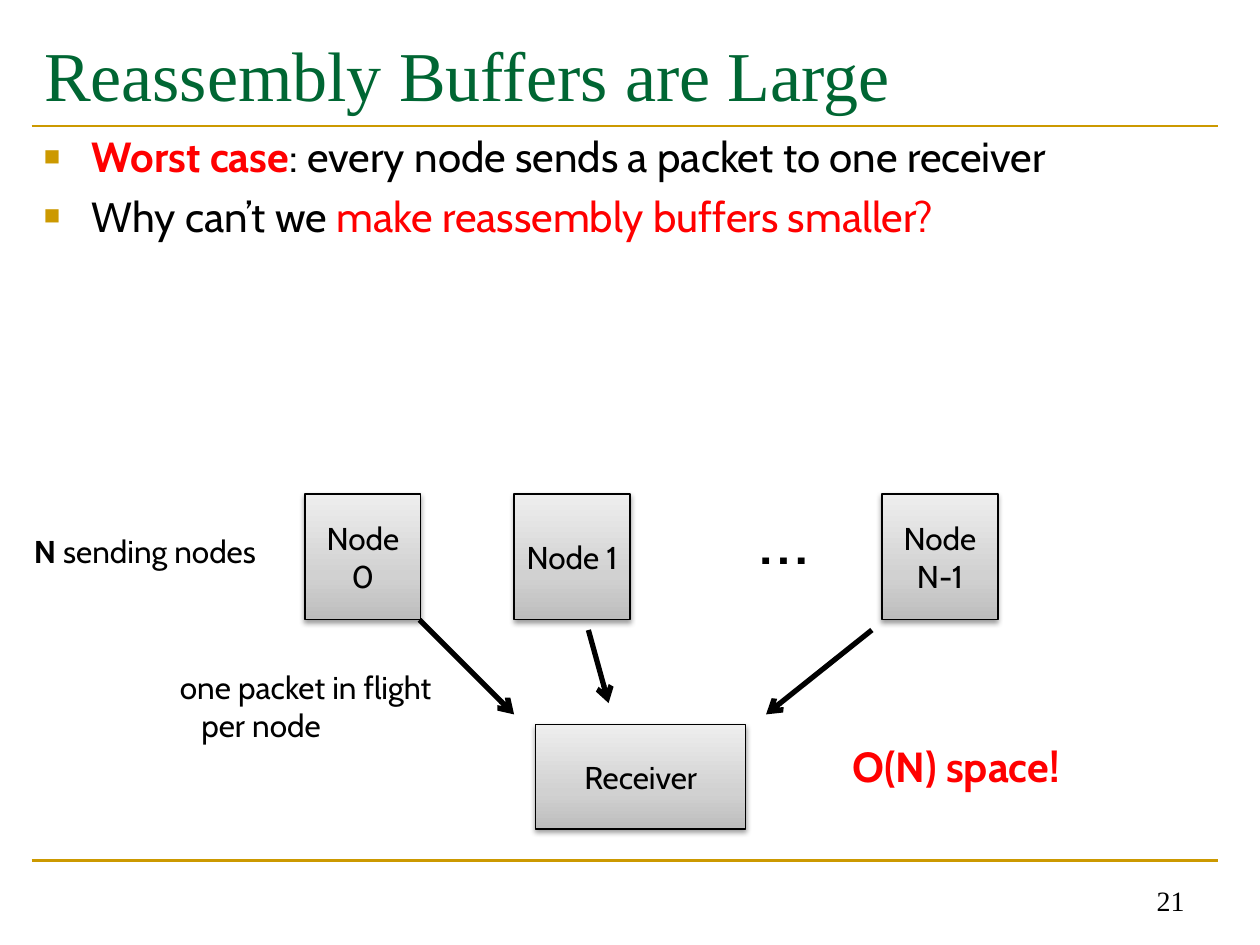
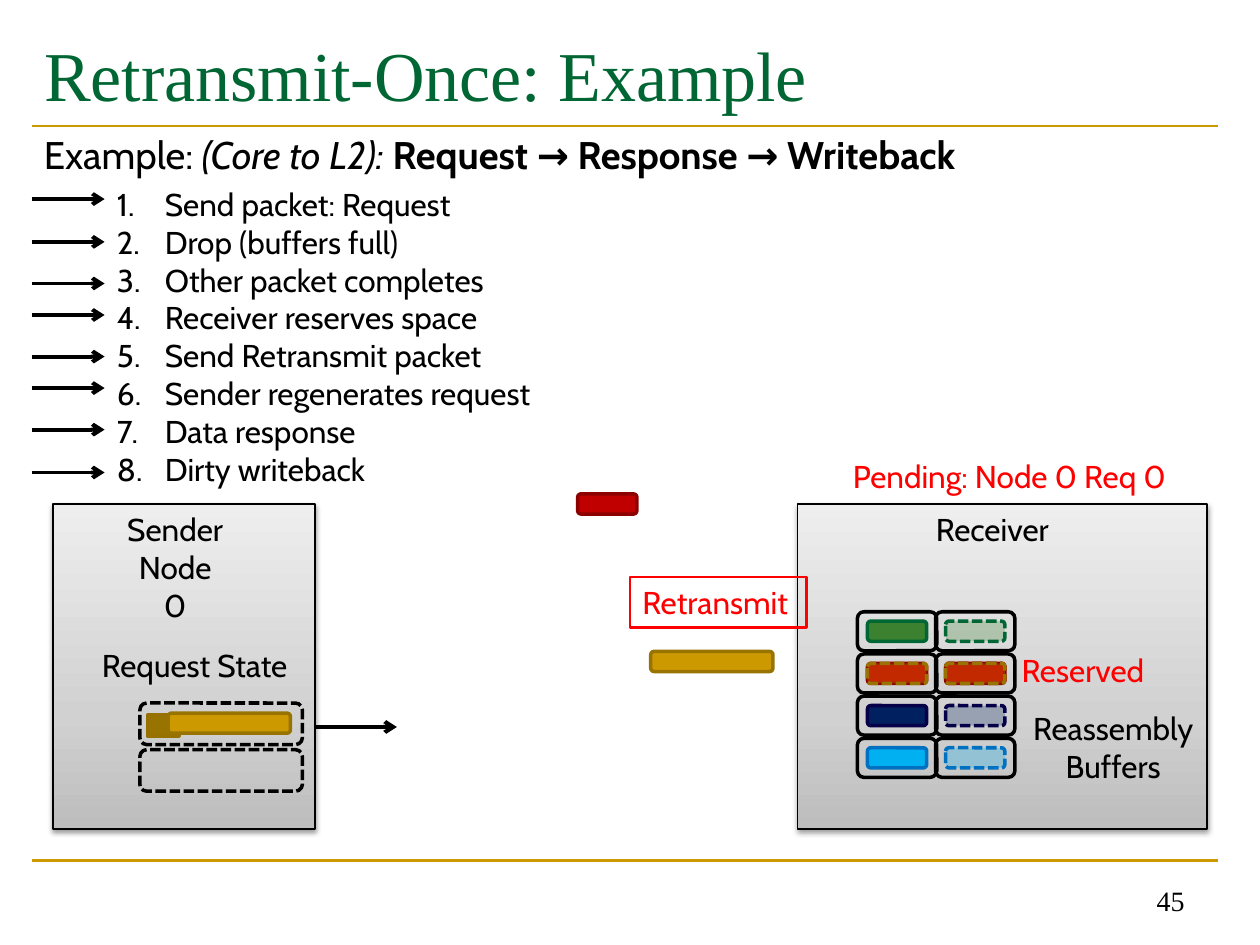
from copy import deepcopy

from lxml import etree
from pptx import Presentation
from pptx.dml.color import RGBColor
from pptx.enum import dml, shapes, text
from pptx.oxml.ns import qn
from pptx.util import Inches, Pt

BLACK, RED, GREEN, GOLD = "000000", "FF0000", "006633", "CC9900"
DARK_RED, DARK_GOLD = "C00000", "997300"
SANS, SERIF = "Cabin", "Times New Roman"
PANEL_GRADIENT = [(0, "BDBDBD"), (0.35, "D1D1D1"), (1, "EEEEEE")]
RULE_HEIGHTS = (1, 6.83)
LEFT, CENTER, RIGHT = text.PP_ALIGN.LEFT, text.PP_ALIGN.CENTER, text.PP_ALIGN.RIGHT

# Each paragraph is a list of (text, style) runs; style holds b, i and a colour.
BUFFERS = {
    "title": "Reassembly Buffers are Large",
    "number": "21",
    "bullets": [
        [("Worst case", "b" + RED), (": every node sends a packet to one receiver", "")],
        [("Why can’t we ", ""), ("make reassembly buffers smaller?", RED)],
    ],
    "boxes": [
        ("Node 0", (2.42, 3.92, 0.92, 1)),
        ("Node 1", (4.08, 3.92, 0.92, 1)),
        ("Node N-1", (7, 3.92, 0.92, 1)),
        ("Receiver", (4.25, 5.75, 1.67, 0.83)),
    ],
    "packets": [(3.33, 4.92, 4.08, 5.67), (4.67, 5, 4.83, 5.58), (6.92, 5, 6.08, 5.67)],
    "labels": [
        ([[("N ", "b"), ("sending nodes", "")]], (0.17, 4.17, 2.08, 0.4), 18),
        ([[("…", "")]], (5.92, 3.83, 0.69, 0.82), 43),
        ([[("O(N) space!", "b" + RED)]], (6.67, 5.83, 2.67, 0.5), 24),
    ],
    "in flight": [[("one packet in flight", "")], [("per node", "")]],
}

EXAMPLE = {
    "title": "Retransmit-Once: Example",
    "number": "45",
    "intro": [[("Example: ", ""), ("(Core to L2): ", "i"),
               ("Request → Response → Writeback", "b")]],
    "steps": [
        ("Send packet: Request", 1.58),
        ("Drop (buffers full)", 1.92),
        ("Other packet completes", 2.25),
        ("Receiver reserves space", 2.5),
        ("Send Retransmit packet", 2.83),
        ("Sender regenerates request", 3.08),
        ("Data response", 3.41),
        ("Dirty writeback", 3.75),
    ],
    "panels": [(0.42, 4, 2.08, 2.58), (6.33, 4, 3.25, 2.58)],
    # One row per buffer: fill and outline of its packet
    "buffers": [("3B812F", GREEN), (DARK_RED, "8C0000"),
                ("002060", "050048"), ("00B0F0", "0070C0")],
    "reserved row": 1,
    "request slots": [(1.11, 5.58, 1.29, 0.33), (1.11, 5.95, 1.29, 0.33)],
    "loose packets": [
        (4.82, 4.0, 0.47, DARK_RED, "8C0000"),
        (5.65, 5.25, 0.97, GOLD, DARK_GOLD),
        (1.82, 5.74, 0.97, GOLD, DARK_GOLD),
    ],
    "labels": [
        (["Reassembly", "Buffers"], (8.04, 5.58, 1.59, 0.71), CENTER, BLACK),
        (["Request State"], (0.62, 5.08, 1.85, 0.4), CENTER, BLACK),
        (["Sender", "Node", "0"], (0.89, 4, 1, 1.01), CENTER, BLACK),
        (["Pending: Node 0 Req 0"], (6.67, 3.58, 2.8, 0.4), LEFT, RED),
        (["Receiver"], (7.33, 4, 1.2, 0.4), LEFT, BLACK),
        (["Reserved"], (8.01, 5.12, 1.3, 0.4), LEFT, RED),
    ],
}


def rgb(color):
    return RGBColor.from_string(color)


def inches(*lengths):
    return [Inches(length) for length in lengths]


def add_xml(parent, tag, **attributes):
    return etree.SubElement(parent, qn(tag), {k: str(v) for k, v in attributes.items()})


def write(frame, paragraphs, size=18, font=SANS, align=LEFT):
    frame.word_wrap = True
    for index, runs in enumerate(paragraphs):
        paragraph = frame.paragraphs[0] if index == 0 else frame.add_paragraph()
        paragraph.alignment = align
        for words, style in runs:
            run = paragraph.add_run()
            run.text = words
            run.font.size, run.font.name = Pt(size), font
            run.font.bold, run.font.italic = style[:1] == "b", style[:1] == "i"
            run.font.color.rgb = rgb(style.lstrip("bi") or BLACK)


def add_label(slide, paragraphs, box, size=18, font=SANS, align=LEFT):
    frame = slide.shapes.add_textbox(*inches(*box)).text_frame
    write(frame, paragraphs, size, font, align)
    return frame


def set_bullet(paragraph, kind):
    """Give a hanging indent with a gold square or an automatic number."""
    properties = paragraph._p.get_or_add_pPr()
    properties.set("marL", str(Inches(0.38)))
    properties.set("indent", str(-Inches(0.38)))
    if kind == "number":
        add_xml(properties, "a:buFont", typeface="+mj-lt")
        add_xml(properties, "a:buAutoNum", type="arabicPeriod")
    else:
        add_xml(add_xml(properties, "a:buClr"), "a:srgbClr", val=GOLD)
        add_xml(properties, "a:buSzPct", val=65000)
        add_xml(properties, "a:buFont", typeface="Arial")
        add_xml(properties, "a:buChar", char="■")


def add_line(slide, ends, color=BLACK, width=2.25, arrow=True):
    line = slide.shapes.add_connector(shapes.MSO_CONNECTOR.STRAIGHT, *inches(*ends))
    line.line.color.rgb, line.line.width = rgb(color), Pt(width)
    if arrow:
        add_xml(line.line._get_or_add_ln(), "a:tailEnd", type="arrow")
    add_xml(line._element.spPr, "a:effectLst")


def add_box(slide, box, fill=None, outline=BLACK, width=2, rounded=True,
            dashed=False, opacity=None):
    kind = shapes.MSO_SHAPE.ROUNDED_RECTANGLE if rounded else shapes.MSO_SHAPE.RECTANGLE
    shape = slide.shapes.add_shape(kind, *inches(*box))
    shape.shadow.inherit = False
    shape.line.color.rgb, shape.line.width = rgb(outline), Pt(width)
    if dashed:
        shape.line.dash_style = dml.MSO_LINE.SQUARE_DOT
    if fill is None:
        shape.fill.background()
        return shape
    shape.fill.solid()
    shape.fill.fore_color.rgb = rgb(fill)
    if opacity:
        color = shape._element.spPr.find(qn("a:solidFill")).find(qn("a:srgbClr"))
        add_xml(color, "a:alpha", val=opacity * 1000)
    return shape


def add_panel(slide, box, words=""):
    """Add a grey gradient rectangle with a soft shadow below it."""
    panel = add_box(slide, box, width=0.75, rounded=False)
    panel.fill.gradient()
    panel.fill.gradient_angle = 90
    properties = panel._element.spPr
    stops = properties.find(qn("a:gradFill")).find(qn("a:gsLst"))
    stops.insert(1, deepcopy(stops[0]))
    for stop, (position, color) in zip(panel.fill.gradient_stops, PANEL_GRADIENT):
        stop.position, stop.color.rgb = position, rgb(color)
    shadow = add_xml(properties.find(qn("a:effectLst")), "a:outerShdw", blurRad=Pt(3.1),
                     dist=Pt(1.6), dir=5400000, rotWithShape=0)
    add_xml(add_xml(shadow, "a:srgbClr", val=BLACK), "a:alpha", val=38000)
    if words:
        write(panel.text_frame, [[(words, "")]], align=CENTER)
        panel.text_frame.vertical_anchor = text.MSO_ANCHOR.MIDDLE


def add_packet(slide, x, y, fill, outline, width=0.47, opacity=None):
    """Add a packet centred on x, y; a see-through one has a dashed outline."""
    add_box(slide, (x - width / 2, y - 0.08, width, 0.16), fill, outline,
            dashed=opacity is not None, opacity=opacity)


def start_slide(deck, content):
    slide = deck.slides.add_slide(deck.slide_layouts[5])
    for y in RULE_HEIGHTS:
        add_line(slide, (0.25, y, 9.67, y), GOLD, 1.5, arrow=False)
    title = slide.shapes.title
    title.left, title.top, title.width, title.height = inches(0.25, 0.17, 9.42, 0.83)
    write(title.text_frame, [[(content["title"], GREEN)]], 40, SERIF)
    title.text_frame.auto_size = text.MSO_AUTO_SIZE.NONE
    title.text_frame.vertical_anchor = text.MSO_ANCHOR.MIDDLE
    number = add_label(slide, [[(content["number"], "")]], (7.17, 6.83, 2.33, 0.5),
                       16, SERIF, RIGHT)
    number.vertical_anchor = text.MSO_ANCHOR.BOTTOM
    return slide


def build_buffers(deck):
    slide = start_slide(deck, BUFFERS)
    bullets = add_label(slide, BUFFERS["bullets"], (0.25, 0.99, 9.42, 2.84), 24)
    for paragraph in bullets.paragraphs:
        paragraph.space_before = Pt(5)
        set_bullet(paragraph, "square")
    for words, box in BUFFERS["boxes"]:
        add_panel(slide, box, words)
    for ends in BUFFERS["packets"]:
        add_line(slide, ends, width=3)
    for paragraphs, box, size in BUFFERS["labels"]:
        add_label(slide, paragraphs, box, size)
    in_flight = add_label(slide, BUFFERS["in flight"], (1.33, 5.25, 2.34, 0.71))
    in_flight.paragraphs[1]._p.get_or_add_pPr().set("marL", str(Inches(0.17)))


def build_example(deck):
    slide = start_slide(deck, EXAMPLE)
    for box in EXAMPLE["panels"]:
        add_panel(slide, box)
    add_label(slide, EXAMPLE["intro"], (0.25, 0.99, 9.42, 0.51), 22)

    for row, (fill, outline) in enumerate(EXAMPLE["buffers"]):
        y = 5.01 + 0.335 * row
        reserved = row == EXAMPLE["reserved row"]
        for x, arrived in ((7.12, True), (7.74, False)):
            add_box(slide, (x - 0.315, y - 0.155, 0.63, 0.31))
            if arrived or reserved:
                add_packet(slide, x, y, fill, outline)
            if not arrived:
                add_packet(slide, x, y, fill, outline, opacity=27)
            if reserved:
                add_packet(slide, x, y, GOLD, DARK_GOLD, opacity=27)

    for slot in EXAMPLE["request slots"]:
        add_box(slide, slot, dashed=True)
    add_box(slide, (1.17, 5.67, 0.25, 0.17), DARK_GOLD, "977100", rounded=False)
    for x, y, width, fill, outline in EXAMPLE["loose packets"]:
        add_packet(slide, x, y, fill, outline, width)
    add_line(slide, (2.49, 5.77, 3.15, 5.77))

    retransmit = add_box(slide, (5, 4.58, 1.4, 0.4), outline=RED, width=1.5, rounded=False)
    write(retransmit.text_frame, [[("Retransmit", RED)]])
    retransmit.text_frame.vertical_anchor = text.MSO_ANCHOR.TOP
    for lines, box, align, color in EXAMPLE["labels"]:
        add_label(slide, [[(line, color)] for line in lines], box, align=align)

    steps = add_label(slide, [[(step, "")] for step, _ in EXAMPLE["steps"]],
                      (0.83, 1.42, 4.42, 2.83))
    for paragraph, (_, y) in zip(steps.paragraphs, EXAMPLE["steps"]):
        set_bullet(paragraph, "number")
        add_line(slide, (0.25, y, 0.83, y))


def main():
    deck = Presentation()
    deck.slide_width, deck.slide_height = inches(10, 7.5)
    build_buffers(deck)
    build_example(deck)
    deck.save("out.pptx")


if __name__ == "__main__":
    main()
